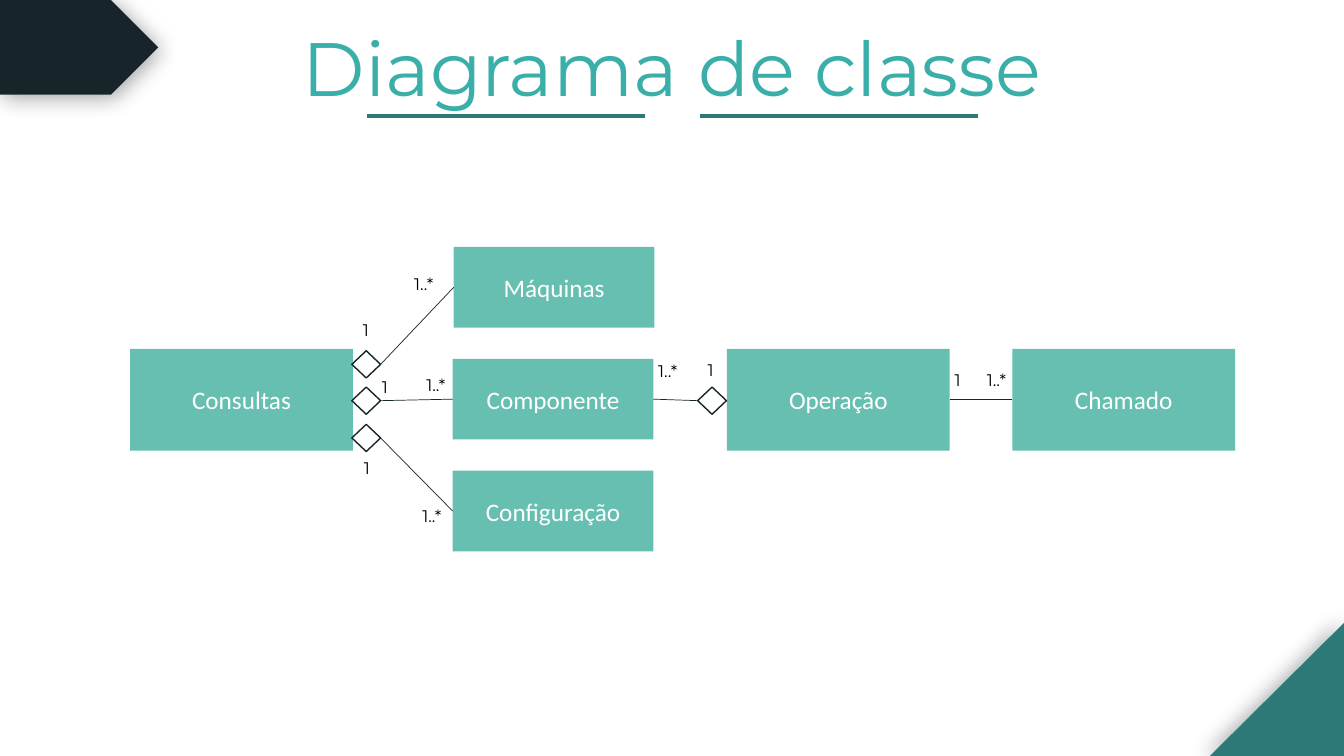
import pptx
import pptx.util
import pptx.dml.color
import pptx.enum.shapes
import pptx.enum.text
import pptx.oxml
import pptx.oxml.ns

RGBColor = pptx.dml.color.RGBColor
MSO_SHAPE = pptx.enum.shapes.MSO_SHAPE
PP_ALIGN = pptx.enum.text.PP_ALIGN

INK = RGBColor(0x17, 0x25, 0x2A)
DEEP_TEAL = RGBColor(0x2B, 0x7A, 0x78)
TITLE_TEAL = RGBColor(0x3A, 0xAF, 0xA9)
BOX_TEAL = RGBColor(0x67, 0xBF, 0xB1)
WHITE = RGBColor(0xFF, 0xFF, 0xFF)
BLACK = RGBColor(0, 0, 0)

COLUMNS, ROWS = 133.3, 75
LEFT, RIGHT = 1, 3


class ClassDiagram:
    heading_font = "Montserrat"
    box_font = "Calibri"

    def __init__(self, prs):
        self.slide = prs.slides.add_slide(prs.slide_layouts[6])
        self.column = prs.slide_width / COLUMNS
        self.row = prs.slide_height / ROWS

    def x(self, columns):
        return round(columns * self.column)

    def y(self, rows):
        return round(rows * self.row)

    def area(self, left, top, width, height):
        return self.x(left), self.y(top), self.x(width), self.y(height)

    def set_text(self, sp, text, size, font, color, align):
        p = sp.text_frame.paragraphs[0]
        p.text = text
        p.alignment = align
        r = p.runs[0]
        r.font.size = pptx.util.Pt(size)
        r.font.name = font
        r.font.color.rgb = color

    def shape(self, kind, area, fill, line=None):
        sp = self.slide.shapes.add_shape(kind, *self.area(*area))
        sp.shadow.inherit = False
        sp.fill.solid()
        sp.fill.fore_color.rgb = fill
        if line is None:
            sp.line.fill.background()
        else:
            sp.line.color.rgb = line
            sp.line.width = pptx.util.Pt(1)
        return sp

    def corner(self, kind, area, fill, angle, flip=False):
        sp = self.shape(kind, area, fill)
        spPr = sp._element.spPr
        if flip:
            spPr.xfrm.set("flipH", "1")
        blur, distance = pptx.util.Pt(16), pptx.util.Pt(3)
        spPr.find(pptx.oxml.ns.qn("a:effectLst")).append(pptx.oxml.parse_xml(
            f'<a:outerShdw {pptx.oxml.ns.nsdecls("a")} blurRad="{blur}" dist="{distance}" '
            f'dir="{angle * 60000}" rotWithShape="0"><a:srgbClr val="000000">'
            '<a:alpha val="34000"/></a:srgbClr></a:outerShdw>'))

    def box(self, name, area):
        sp = self.shape(MSO_SHAPE.RECTANGLE, area, BOX_TEAL)
        sp.text_frame.vertical_anchor = pptx.enum.text.MSO_ANCHOR.MIDDLE
        self.set_text(sp, name, 18, self.box_font, WHITE, PP_ALIGN.CENTER)
        return sp

    def diamond(self, left, top):
        return self.shape(MSO_SHAPE.DIAMOND, (left, top, 2.85, 2.7), WHITE, INK)

    def text(self, text, area, size, color, align=PP_ALIGN.LEFT, wrap=False):
        sp = self.slide.shapes.add_textbox(*self.area(*area))
        tf = sp.text_frame
        tf.word_wrap = wrap
        tf.auto_size = pptx.enum.text.MSO_AUTO_SIZE.SHAPE_TO_FIT_TEXT
        self.set_text(sp, text, size, self.heading_font, color, align)

    def line(self, start, end, color, width):
        cxn = self.slide.shapes.add_connector(
            pptx.enum.shapes.MSO_CONNECTOR.STRAIGHT,
            self.x(start[0]), self.y(start[1]), self.x(end[0]), self.y(end[1]))
        cxn.line.color.rgb = color
        cxn.line.width = pptx.util.Pt(width)
        cxn._element.spPr.append(pptx.oxml.parse_xml(
            f'<a:effectLst {pptx.oxml.ns.nsdecls("a")}/>'))
        return cxn

    def join(self, source, target):
        cxn = self.line((0, 0), (0, 0), INK, 0.5)
        cxn.begin_connect(source, RIGHT)
        cxn.end_connect(target, LEFT)


def main():
    prs = pptx.Presentation()
    prs.slide_width = pptx.util.Inches(13.33)
    prs.slide_height = pptx.util.Inches(7.5)
    diagram = ClassDiagram(prs)

    diagram.corner(MSO_SHAPE.PENTAGON, (0, 0, 15.7, 9.4), INK, 45)
    diagram.text("Diagrama de classe", (17.1, 1.6, 99.1, 10.1), 54, TITLE_TEAL,
                 PP_ALIGN.CENTER, wrap=True)
    for left in (36.4, 69.4):
        diagram.line((left, 11.5), (left + 27.6, 11.5), DEEP_TEAL, 3)
    diagram.corner(MSO_SHAPE.RIGHT_TRIANGLE, (120, 61.8, 13.3, 13.2), DEEP_TEAL, 180, flip=True)

    consultas, operacao, chamado = [
        diagram.box(name, (left, 34.6, 22.1, 10.1))
        for name, left in (("Consultas", 12.9), ("Operação", 72.1), ("Chamado", 100.4))]
    parts = [
        diagram.box(name, (left, 24.5 + 11.1 * i, 19.9, 8))
        for i, (name, left) in enumerate(
            (("Máquinas", 45), ("Componente", 44.9), ("Configuração", 44.9)))]
    maquinas, componente, configuracao = parts

    for top, part in zip((34.8, 38.4, 42.1), parts):
        diagram.join(diagram.diamond(34.9, top), part)
    diagram.join(componente, diagram.diamond(69.2, 38.4))
    diagram.join(operacao, chamado)

    labels = {
        "1": (2.6, ((35, 31.2), (36.9, 36.9), (35.1, 44.9), (69.2, 35.2), (93.7, 36.2))),
        "1..*": (4, ((40.1, 26.7), (41.3, 36.7), (40.9, 49.7), (64.3, 35.3), (96.9, 36.2))),
    }
    for label, (width, places) in labels.items():
        for left, top in places:
            diagram.text(label, (left, top, width, 3), 12, BLACK)

    prs.save("out.pptx")


if __name__ == "__main__":
    main()
